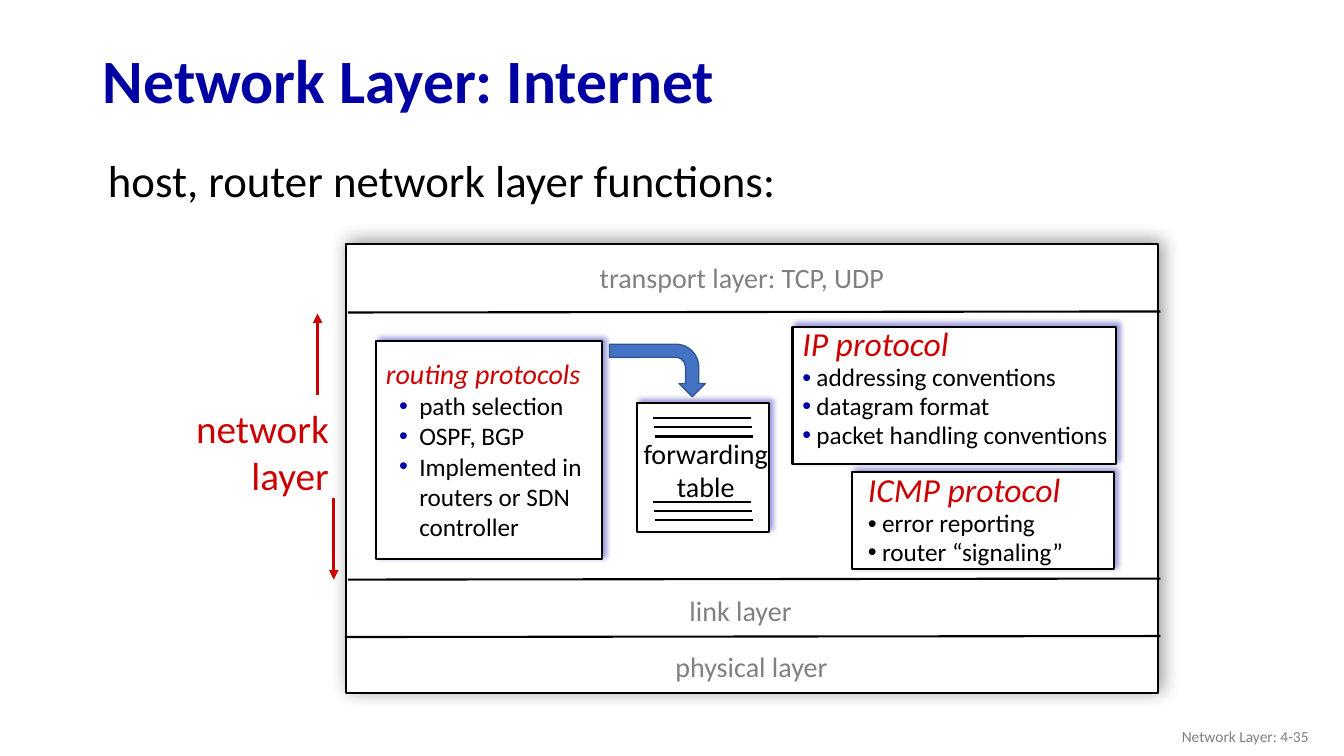
from lxml.etree import SubElement as Sub
from pptx import Presentation
from pptx.dml.color import RGBColor as Rgb
from pptx.enum.shapes import MSO_CONNECTOR as Link, MSO_SHAPE as Form
from pptx.enum.text import MSO_ANCHOR as Anchor, MSO_AUTO_SIZE as Auto, PP_ALIGN as Align
from pptx.oxml.ns import qn
from pptx.util import Inches, Pt

HUES = {
    "navy": "0000A3",
    "red": "CC0000",
    "black": "000000",
    "gray": "808080",
    "white": "FFFFFF",
    "blue": "4472C4",
    "edge": "325491",
}


def hue(name):
    return Rgb.from_string(HUES[name])


class Deck:
    font = "Calibri"

    def __init__(self):
        self.show = Presentation()
        self.show.slide_width = Inches(13.33)
        self.show.slide_height = Inches(7.5)
        self.slide = self.show.slides.add_slide(self.show.slide_layouts[1])

    def style(self, par, size, color, bold=False, slant=False):
        for run in par.runs:
            font = run.font
            font.name, font.size = self.font, Pt(size)
            font.bold, font.italic = bold, slant
            font.color.rgb = hue(color)

    def holder(self, index, box, text, size, color, bold, space, anchor):
        item = self.slide.placeholders[index]
        item.left, item.top, item.width, item.height = map(Inches, box)
        frame = item.text_frame
        frame.text = text
        frame.auto_size = Auto.NONE
        frame.vertical_anchor = anchor
        par = frame.paragraphs[0]
        props = par._p.get_or_add_pPr()
        props.set("marL", "0")
        props.set("indent", "0")
        Sub(props, qn("a:buNone"))
        par.alignment = Align.LEFT
        par.line_spacing = space
        par.space_before = Pt(0)
        self.style(par, size, color, bold)

    def text(self, box, lines, size, color, align=Align.LEFT, wrap=False, anchor=Anchor.TOP):
        frame = self.slide.shapes.add_textbox(*map(Inches, box)).text_frame
        frame.text = lines
        frame.word_wrap = wrap
        frame.vertical_anchor = anchor
        for par in frame.paragraphs:
            par.alignment = align
            self.style(par, size, color)

    def points(self, box, head, size, items, dot, left, hang, space, wrap=True):
        frame = self.slide.shapes.add_textbox(*map(Inches, box)).text_frame
        frame.text = "\n".join([head, *items])
        frame.word_wrap = wrap
        top, *rest = frame.paragraphs
        top.line_spacing = space
        self.style(top, size, "red", slant=True)
        for par in rest:
            props = par._p.get_or_add_pPr()
            props.set("marL", str(Inches(left)))
            props.set("indent", str(-Inches(hang)))
            Sub(Sub(props, qn("a:buClr")), qn("a:srgbClr"), val=HUES[dot])
            Sub(props, qn("a:buFont"), typeface="Arial")
            Sub(props, qn("a:buChar"), char="•")
            par.line_spacing = space
            self.style(par, 18, "black")

    def shape(self, form, box, fill, line, width):
        item = self.slide.shapes.add_shape(form, *map(Inches, box))
        item.shadow.inherit = False
        item.fill.solid()
        item.fill.fore_color.rgb = hue(fill)
        item.line.color.rgb = hue(line)
        item.line.width = Pt(width)
        return item

    def panel(self, box, glow="navy", blur=4):
        item = self.shape(Form.RECTANGLE, box, "white", "black", 1.5)
        fx = item._element.spPr.find(qn("a:effectLst"))
        shade = Sub(fx, qn("a:outerShdw"), blurRad=str(Pt(blur)), dist=str(Pt(3)),
                    dir=str(315 * 60000), algn="bl", rotWithShape="0")
        tint = Sub(shade, qn("a:srgbClr"), val=HUES[glow])
        Sub(tint, qn("a:alpha"), val="40000")

    def line(self, start, end, color="black", width=1.5, arrow=False):
        item = self.slide.shapes.add_connector(Link.STRAIGHT, *map(Inches, (*start, *end)))
        item.line.color.rgb = hue(color)
        item.line.width = Pt(width)
        if arrow:
            Sub(item.line._get_or_add_ln(), qn("a:tailEnd"), type="triangle")
        Sub(item._element.spPr, qn("a:effectLst"))


def main():
    deck = Deck()
    deck.holder(0, (0.92, 0.34, 11.5, 0.98), "Network Layer: Internet",
                44, "navy", True, 0.9, Anchor.MIDDLE)
    deck.holder(1, (0.97, 1.55, 8.24, 0.48), "host, router network layer functions:",
                32, "black", False, 0.85, Anchor.TOP)
    deck.text((10.08, 7.11, 3, 0.4), "Network Layer: 4-35", 11, "gray",
              Align.RIGHT, True, Anchor.MIDDLE)

    deck.panel((3.43, 2.42, 8.06, 4.46), "black", 13)
    for left, top in ((3.45, 3.1), (3.45, 5.75), (3.42, 6.32)):
        deck.line((left, top), (11.51, top - 0.01))
    for left, top, width, name in (
        (5.85, 2.54, 3.1, "transport layer: TCP, UDP"),
        (6.74, 5.84, 1.23, "link layer"),
        (6.6, 6.39, 1.74, "physical layer"),
    ):
        deck.text((left, top, width, 0.44), name, 20, "gray")

    deck.text((1.82, 3.96, 1.54, 1.04), "network\nlayer", 28, "red", Align.RIGHT)
    for left, start, end in ((3.15, 3.92, 3.11), (3.31, 4.94, 5.75)):
        deck.line((left, start), (left, end), "red", 2.25, True)

    deck.panel((7.86, 3.24, 3.21, 1.36))
    deck.points((7.86, 3.18, 3.33, 1.41), "IP protocol", 24,
                ["addressing conventions", "datagram format", "packet handling conventions"],
                "navy", 0.14, 0.14, 0.95, False)
    deck.panel((8.45, 4.68, 2.6, 0.97))
    deck.points((8.51, 4.63, 2.69, 1.06), "ICMP protocol", 24,
                ["error reporting", "router “signaling”"], "black", 0.14, 0.14, 0.95)

    deck.panel((6.32, 4, 1.31, 1.28))
    deck.text((6.27, 4.28, 1.46, 0.77), "forwarding\ntable", 20, "black", Align.CENTER)
    for top in (4.15, 4.98):
        for row in range(3):
            left, high = 6.48 + row * 0.01, top + row * 0.09
            deck.line((left, high), (left + 0.97, high))

    deck.panel((3.73, 3.38, 2.24, 2.17))
    deck.points((3.73, 3.49, 2.21, 1.95), "routing protocols", 20,
                ["path selection", "OSPF, BGP", "Implemented in routers or SDN controller"],
                "navy", 0.33, 0.2, 1.0)
    bend = deck.shape(Form.BENT_ARROW, (6.26, 3.2, 0.52, 0.95), "blue", "edge", 1)
    bend.rotation = 90

    deck.show.save("out.pptx")


if __name__ == "__main__":
    main()
